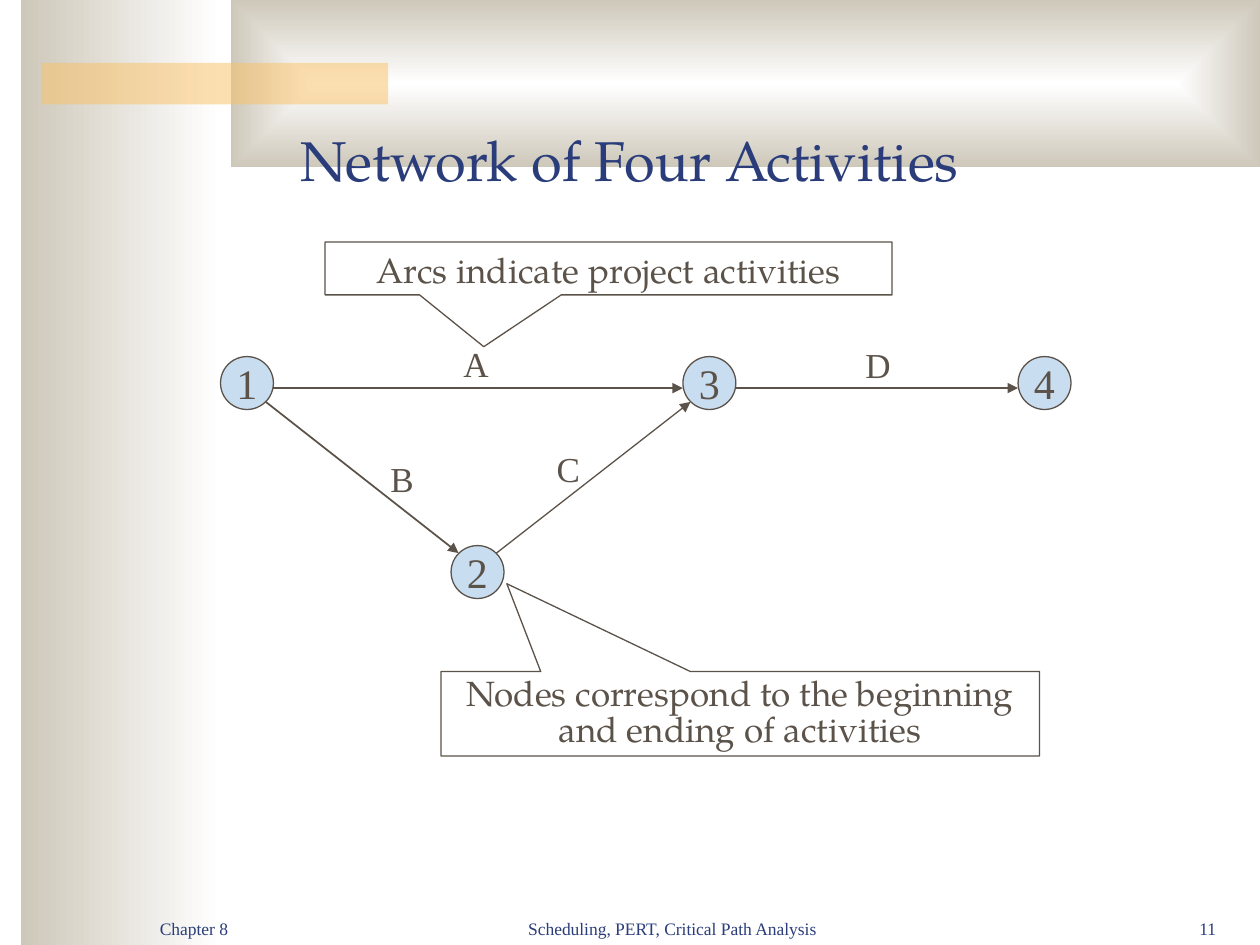
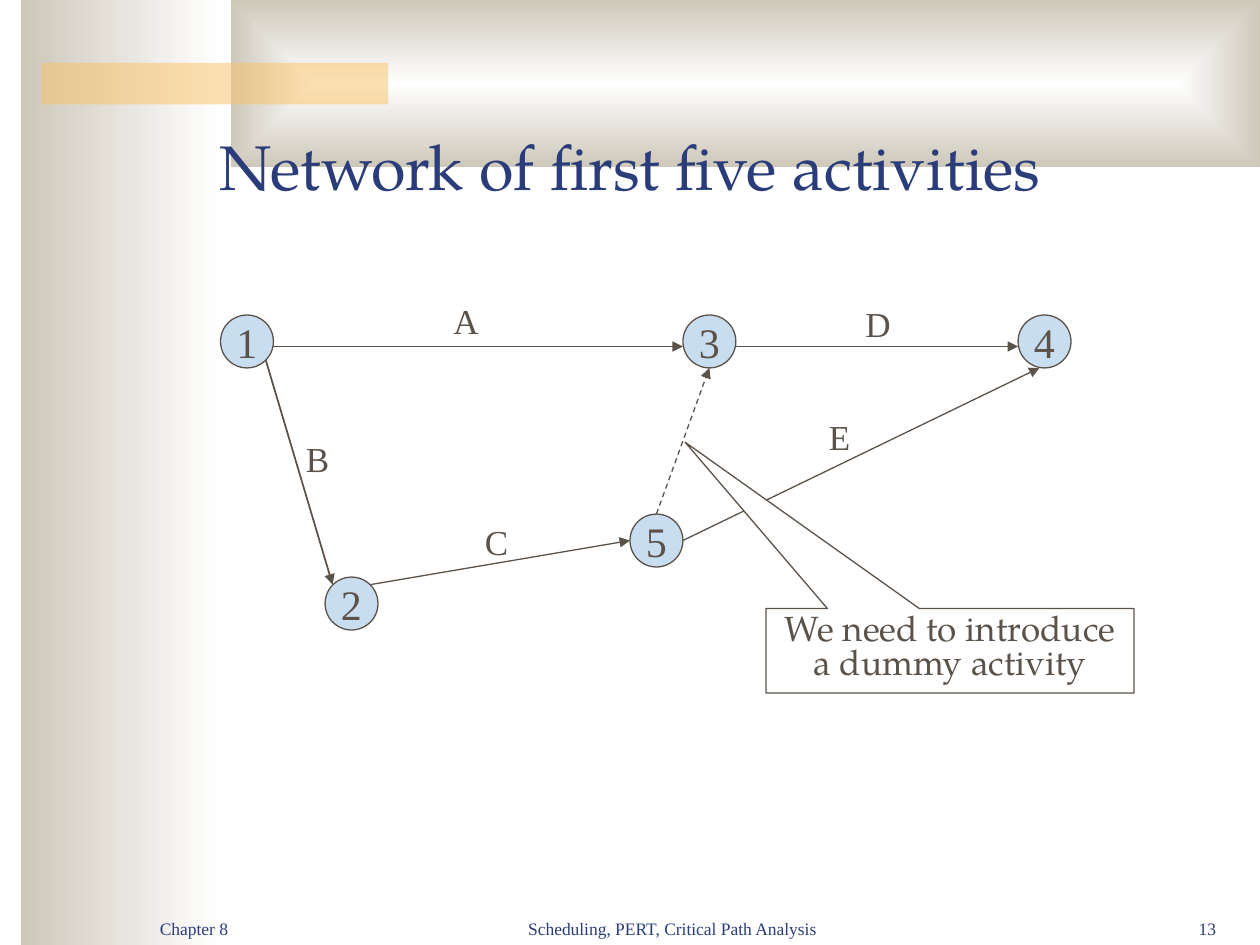
from dataclasses import dataclass

from lxml import etree
from pptx import Presentation
from pptx.dml.color import RGBColor
from pptx.enum.dml import MSO_LINE_DASH_STYLE as Dash
from pptx.enum.shapes import MSO_CONNECTOR as Connector
from pptx.enum.shapes import MSO_SHAPE as Shape
from pptx.enum.text import MSO_ANCHOR as Anchor
from pptx.enum.text import PP_ALIGN as Align
from pptx.oxml.ns import qn
from pptx.util import Inches, Pt

SERIF, TITLE_FONT = "Times New Roman", "TeX Gyre Pagella"
NAVY, INK, NODE_BLUE = "2A3D7A", "5B5249", "C9DDF1"
WHITE, SAND, AMBER = "FFFFFF", "CEC8BA", "FAC164"
NODE_SIZE = 0.42
LABEL_WIDTHS = {"A": 0.42, "B": 0.53, "C": 0.38, "D": 0.4, "E": 0.37}
NODE_PORTS = {
    "left": (0, 0.25),
    "right": (0.42, 0.25),
    "left middle": (0, 0.21),
    "right middle": (0.42, 0.21),
    "top": (0.21, 0),
    "bottom": (0.21, 0.42),
    "bottom inner": (0.17, 0.42),
    "top left": (0.06, 0.06),
    "top right": (0.36, 0.06),
    "bottom left": (0.06, 0.36),
    "bottom right": (0.36, 0.36),
}


@dataclass
class Arc:
    """An activity between two node ports, with its label position."""

    start: str
    start_port: str
    end: str
    end_port: str
    label: str = ""
    label_at: tuple = (0, 0)
    width: float = 0.75
    dashed: bool = False


def color(hex_string):
    """Return the colour for a hex string."""
    return RGBColor.from_string(hex_string)


def inches(*lengths):
    """Convert numbers to lengths in inches."""
    return [Inches(length) for length in lengths]


def write_text(shape, text, size, font, hex_color, align=Align.LEFT,
               anchor=Anchor.TOP, spacing=None, wrap=True):
    """Write one formatted paragraph into a shape."""
    frame = shape.text_frame
    frame.word_wrap = wrap
    frame.vertical_anchor = anchor
    paragraph = frame.paragraphs[0]
    paragraph.text = text
    paragraph.alignment = align
    paragraph.line_spacing = spacing
    paragraph.font.size = Pt(size)
    paragraph.font.name = font
    paragraph.font.color.rgb = color(hex_color)


def add_text(slide, box, text, size, font, hex_color, **options):
    """Add a text box."""
    shape = slide.shapes.add_textbox(*inches(*box))
    write_text(shape, text, size, font, hex_color, **options)


def add_outlined(slide, kind, box, fill):
    """Add a filled shape with a thin outline."""
    shape = slide.shapes.add_shape(kind, *inches(*box))
    shape.shadow.inherit = False
    shape.fill.solid()
    shape.fill.fore_color.rgb = color(fill)
    shape.line.color.rgb = color(INK)
    shape.line.width = Pt(0.75)
    return shape


def add_band(slide, box):
    """Add a rectangle without an outline."""
    band = slide.shapes.add_shape(Shape.RECTANGLE, *inches(*box))
    band.shadow.inherit = False
    band.line.fill.background()
    return band


def add_gradient_band(slide, box):
    """Add a band that fades from sand at the left to white."""
    band = add_band(slide, box)
    band.fill.gradient()
    band.fill.gradient_angle = 180
    for stop, hex_color in zip(band.fill.gradient_stops, (WHITE, SAND)):
        stop.color.rgb = color(hex_color)
    return band


def add_backdrop(slide):
    """Draw the side band, the top band and the amber bar."""
    add_gradient_band(slide, (0.17, 0, 1.58, 7.5))

    top_band = add_gradient_band(slide, (1.83, 0, 8.17, 1.33))
    linear = top_band.element.spPr.find(".//" + qn("a:lin"))
    rectangular = etree.Element(qn("a:path"), path="rect")
    etree.SubElement(rectangular, qn("a:fillToRect"),
                     dict.fromkeys("ltrb", "50000"))
    linear.getparent().replace(linear, rectangular)

    bar = add_band(slide, (0.33, 0.5, 2.75, 0.33))
    bar.fill.solid()
    bar.fill.fore_color.rgb = color(AMBER)
    amber = bar.element.spPr.find(".//" + qn("a:srgbClr"))
    etree.SubElement(amber, qn("a:alpha"), val="50000")


def add_footer(slide, number):
    """Write the chapter, the subject and the slide number."""
    parts = (
        (1.17, 2.08, "Chapter 8", Align.LEFT),
        (3.75, 3.17, "Scheduling, PERT, Critical Path Analysis", Align.CENTER),
        (8.75, 1, str(number), Align.RIGHT),
    )
    for left, width, text, align in parts:
        add_text(slide, (left, 7, width, 0.5), text, 10, SERIF, NAVY,
                 align=align, anchor=Anchor.BOTTOM)


def add_arrow(slide, start, end, arc):
    """Draw an arc as a line with an arrowhead."""
    arrow = slide.shapes.add_connector(Connector.STRAIGHT,
                                       *inches(*start, *end))
    arrow.line.color.rgb = color(INK)
    arrow.line.width = Pt(arc.width)
    if arc.dashed:
        arrow.line.dash_style = Dash.DASH
    properties = arrow.element.spPr
    etree.SubElement(properties.find(qn("a:ln")), qn("a:tailEnd"),
                     type="triangle")
    etree.SubElement(properties, qn("a:effectLst"))


def add_network(slide, left, top, nodes, arcs):
    """Draw nodes, arcs and labels from the given top left corner."""
    for name, (x, y) in nodes.items():
        box = (left + x, top + y, NODE_SIZE, NODE_SIZE)
        node = add_outlined(slide, Shape.OVAL, box, NODE_BLUE)
        write_text(node, name, 24, SERIF, INK, align=Align.CENTER,
                   anchor=Anchor.MIDDLE, wrap=False)

    def port(name, side):
        """Return the place where an arc meets a node."""
        (x, y), (dx, dy) = nodes[name], NODE_PORTS[side]
        return left + x + dx, top + y + dy

    for arc in arcs:
        add_arrow(slide, port(arc.start, arc.start_port),
                  port(arc.end, arc.end_port), arc)
        if arc.label:
            x, y = arc.label_at
            box = (left + x, top + y, LABEL_WIDTHS[arc.label], 0.44)
            add_text(slide, box, arc.label, 20, SERIF, INK)


def add_callout(slide, box, text, tip, spacing=None):
    """Add a callout whose tip is a share of its size from its centre."""
    callout = add_outlined(slide, Shape.RECTANGULAR_CALLOUT, box, WHITE)
    callout.adjustments[0], callout.adjustments[1] = tip
    write_text(callout, text, 20, TITLE_FONT, INK, align=Align.CENTER,
               spacing=spacing)


def start_slide(presentation, title, title_top, title_size, number):
    """Add a slide with its backdrop, title and footer."""
    slide = presentation.slides.add_slide(presentation.slide_layouts[6])
    add_backdrop(slide)
    add_text(slide, (0.75, title_top, 8.5, 0.83), title, title_size,
             TITLE_FONT, NAVY, align=Align.CENTER, anchor=Anchor.BOTTOM)
    add_footer(slide, number)
    return slide


def add_four_activities(presentation):
    """Build the slide with four activities."""
    slide = start_slide(presentation, "Network of Four Activities",
                        0.75, 32, 11)
    nodes = {"1": (0, 0), "3": (3.67, 0), "4": (6.33, 0), "2": (1.83, 1.5)}
    arcs = [
        Arc("3", "right", "4", "left", "D", (5.02, -0.15), 1),
        Arc("1", "right", "3", "left", "A", (1.83, -0.16), 1),
        Arc("1", "bottom right", "2", "top left", "B", (1.25, 0.75), 1),
        Arc("2", "top right", "3", "bottom left", "C", (2.57, 0.67)),
    ]
    add_network(slide, 1.75, 2.83, nodes, arcs)
    add_callout(slide, (2.58, 1.92, 4.5, 0.42),
                "Arcs indicate project activities", (-0.22, 1.48))
    add_callout(slide, (3.5, 5.33, 4.75, 0.67),
                "Nodes correspond to the beginning and ending of activities",
                (-0.39, -1.54), 0.85)


def add_five_activities(presentation):
    """Build the slide with five activities and a dummy."""
    slide = start_slide(presentation, "Network of first five activities",
                        0.83, 36, 13)
    nodes = {"1": (0, 0), "3": (3.67, 0), "4": (6.33, 0),
             "2": (0.83, 2.08), "5": (3.25, 1.58)}
    arcs = [
        Arc("3", "right", "4", "left", "D", (5.02, -0.15), 1),
        Arc("1", "right", "3", "left", "A", (1.75, -0.17), 1),
        Arc("1", "bottom right", "2", "top left", "B", (0.58, 0.92), 1),
        Arc("2", "top right", "5", "left middle", "C", (2, 1.58)),
        Arc("5", "top", "3", "bottom", dashed=True),
        Arc("5", "right middle", "4", "bottom inner", "E", (4.73, 0.75)),
    ]
    add_network(slide, 1.75, 2.5, nodes, arcs)
    add_callout(slide, (6.08, 4.83, 2.92, 0.67),
                "We need to introduce a dummy activity", (-0.72, -2.47), 0.8)


def main():
    """Build and save the presentation."""
    presentation = Presentation()
    presentation.slide_width, presentation.slide_height = inches(10, 7.5)
    add_four_activities(presentation)
    add_five_activities(presentation)
    presentation.save("out.pptx")


if __name__ == "__main__":
    main()
